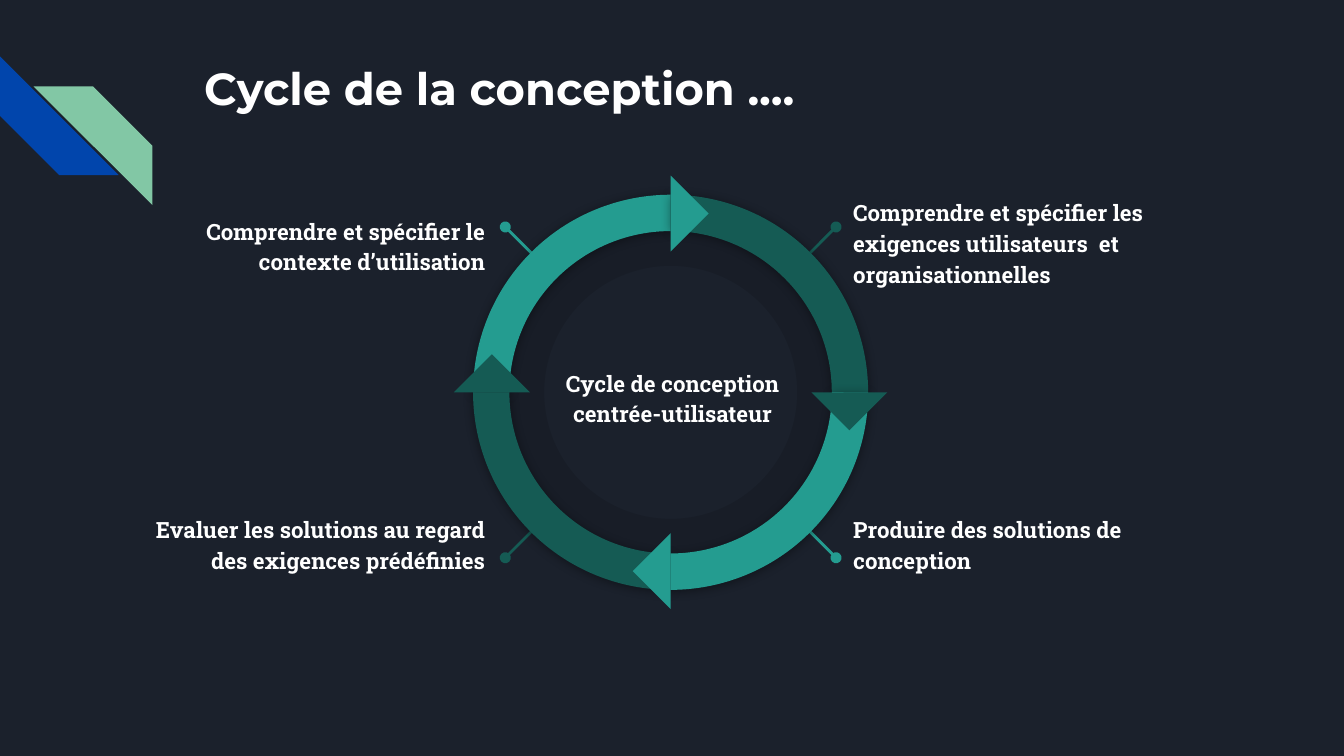
from dataclasses import dataclass
from math import cos, radians, sin

from lxml.etree import SubElement
from pptx import Presentation
from pptx.dml.color import RGBColor
from pptx.enum.shapes import MSO_CONNECTOR, MSO_SHAPE
from pptx.enum.text import MSO_ANCHOR, MSO_AUTO_SIZE, PP_ALIGN
from pptx.oxml.ns import qn
from pptx.util import Pt

BACKGROUND = RGBColor(0x1B, 0x21, 0x2C)
WHITE = RGBColor(0xFF, 0xFF, 0xFF)
BLACK = RGBColor(0x00, 0x00, 0x00)
BLUE = RGBColor(0x01, 0x45, 0xAC)
GREEN = RGBColor(0x82, 0xC7, 0xA5)
TEAL = RGBColor(0x24, 0x9C, 0x90)
DARK_TEAL = RGBColor(0x15, 0x5B, 0x54)

CENTER_X, CENTER_Y = 359.3, 210.2
RING_SIZE = 211.7
RING_THICKNESS = 0.092
DISC_SIZE = 200
ARROW_RADIUS = 95.8
ARROW_SIZE = 28.8
PIN_INNER, PIN_OUTER = 86.5, 125.3
TITLE_FORMAT = {"name": "Montserrat", "size": Pt(24), "bold": True}
LABEL_FORMAT = {"name": "Roboto Slab", "size": Pt(12), "bold": True}


@dataclass(frozen=True)
class Box:
    left: float
    top: float
    width: float
    height: float

    def lengths(self) -> tuple:
        return Pt(self.left), Pt(self.top), Pt(self.width), Pt(self.height)


@dataclass(frozen=True)
class Stage:
    text: str
    box: Box
    alignment: PP_ALIGN
    color: RGBColor
    start: int


STAGES = [
    Stage("Comprendre et spécifier le contexte d’utilisation",
          Box(79.2, 107.3, 187.9, 52.6), PP_ALIGN.RIGHT, TEAL, 180),
    Stage("Comprendre et spécifier les exigences utilisateurs  et organisationnelles",
          Box(450, 97.2, 205.9, 67.7), PP_ALIGN.LEFT, DARK_TEAL, 270),
    Stage("Evaluer les solutions au regard des exigences prédéfinies",
          Box(72, 267.1, 195.1, 52.6), PP_ALIGN.RIGHT, DARK_TEAL, 90),
    Stage("Produire des solutions de conception",
          Box(450, 267.1, 173.5, 52.6), PP_ALIGN.LEFT, TEAL, 0),
]


def centered(size: float, x: float = CENTER_X, y: float = CENTER_Y) -> Box:
    return Box(x - size / 2, y - size / 2, size, size)


def around(radius: float, degrees: float) -> tuple[float, float]:
    angle = radians(degrees)
    return CENTER_X + radius * cos(angle), CENTER_Y + radius * sin(angle)


def add_filled(slide, kind: MSO_SHAPE, box: Box, color: RGBColor,
               rotation: float = 0, adjustments: tuple = ()):
    shape = slide.shapes.add_shape(kind, *box.lengths())
    shape.shadow.inherit = False
    shape.fill.solid()
    shape.fill.fore_color.rgb = color
    shape.line.fill.background()
    shape.rotation = rotation
    for index, value in enumerate(adjustments):
        shape.adjustments[index] = value
    return shape


def write_text(shape, text: str, font_format: dict, alignment: PP_ALIGN,
               anchor: MSO_ANCHOR = MSO_ANCHOR.TOP, line_spacing: float = 1.0) -> None:
    frame = shape.text_frame
    frame_format = {"word_wrap": True, "auto_size": MSO_AUTO_SIZE.NONE,
                    "vertical_anchor": anchor}
    for side in ("left", "top", "right", "bottom"):
        frame_format[f"margin_{side}"] = Pt(7.2)
    for name, value in frame_format.items():
        setattr(frame, name, value)
    paragraph = frame.paragraphs[0]
    paragraph.alignment = alignment
    paragraph.line_spacing = line_spacing
    run = paragraph.add_run()
    run.text = text
    for name, value in font_format.items():
        setattr(run.font, name, value)
    run.font.color.rgb = WHITE


def add_title(slide, text: str) -> None:
    title = slide.shapes.title
    title.left, title.top, title.width, title.height = Box(102.2, 25.2, 554.4, 72).lengths()
    write_text(title, text, TITLE_FORMAT, PP_ALIGN.LEFT)


def add_label(slide, text: str, box: Box, alignment: PP_ALIGN,
              anchor: MSO_ANCHOR = MSO_ANCHOR.TOP) -> None:
    label = slide.shapes.add_textbox(*box.lengths())
    write_text(label, text, LABEL_FORMAT, alignment, anchor, 1.15)


def add_disc(slide) -> None:
    disc = add_filled(slide, MSO_SHAPE.DONUT, centered(DISC_SIZE), BLACK, 0, (0.161,))
    color = disc.element.spPr.find(qn("a:solidFill")).find(qn("a:srgbClr"))
    SubElement(color, qn("a:alpha"), val="11000")


def add_pin(slide, stage: Stage) -> None:
    middle = stage.start + 45
    ends = around(PIN_OUTER, middle) + around(PIN_INNER, middle)
    pin = slide.shapes.add_connector(MSO_CONNECTOR.STRAIGHT, *map(Pt, ends))
    pin.line.color.rgb = stage.color
    pin.line.width = Pt(1.5)
    SubElement(pin.line._get_or_add_ln(), qn("a:headEnd"), type="oval")
    SubElement(pin.element.spPr, qn("a:effectLst"))


def add_arc(slide, stage: Stage) -> None:
    angles = tuple(degrees * 0.6 for degrees in (stage.start, (stage.start + 90) % 360))
    arc = add_filled(slide, MSO_SHAPE.BLOCK_ARC, centered(RING_SIZE), stage.color,
                     0, angles + (RING_THICKNESS,))
    effects = arc.element.spPr.find(qn("a:effectLst"))
    shadow = SubElement(effects, qn("a:outerShdw"), blurRad=str(Pt(5.6)),
                        dist=str(Pt(0.8)), dir="5400000", algn="t", rotWithShape="0")
    color = SubElement(shadow, qn("a:srgbClr"), val=str(BLACK))
    SubElement(color, qn("a:alpha"), val="40000")


def add_arrow(slide, stage: Stage) -> None:
    x, y = around(ARROW_RADIUS, stage.start + 90)
    add_filled(slide, MSO_SHAPE.RIGHT_TRIANGLE, centered(ARROW_SIZE, x, y),
               stage.color, stage.start + 45)


def main() -> None:
    presentation = Presentation()
    presentation.slide_width, presentation.slide_height = Pt(720), Pt(405)
    slide = presentation.slides.add_slide(presentation.slide_layouts[5])
    slide.background.fill.solid()
    slide.background.fill.fore_color.rgb = BACKGROUND

    add_filled(slide, MSO_SHAPE.DIAGONAL_STRIPE, Box(0, 30.2, 63.6, 63.6), BLUE, 270, (0.5,))
    add_filled(slide, MSO_SHAPE.DIAGONAL_STRIPE, Box(18, 46.3, 63.6, 63.6), GREEN, 90, (0.5,))
    add_title(slide, "Cycle de la conception ....")
    add_disc(slide)
    for stage in STAGES:
        add_pin(slide, stage)
        add_label(slide, stage.text, stage.box, stage.alignment)
    add_label(slide, "Cycle de conception centrée-utilisateur",
              Box(291.6, 180.7, 137.5, 63.4), PP_ALIGN.CENTER, MSO_ANCHOR.MIDDLE)
    for stage in STAGES:
        add_arc(slide, stage)
    for stage in STAGES:
        add_arrow(slide, stage)

    presentation.save("out.pptx")


if __name__ == "__main__":
    main()
